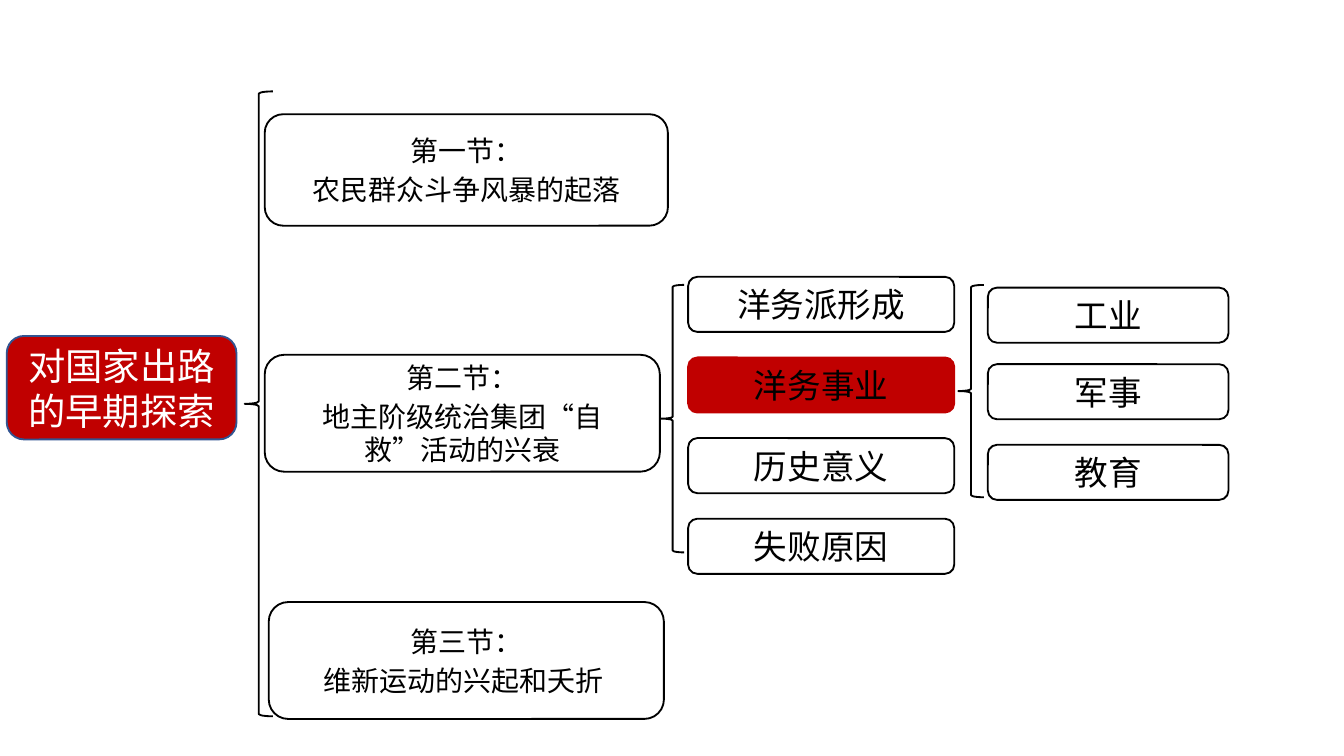
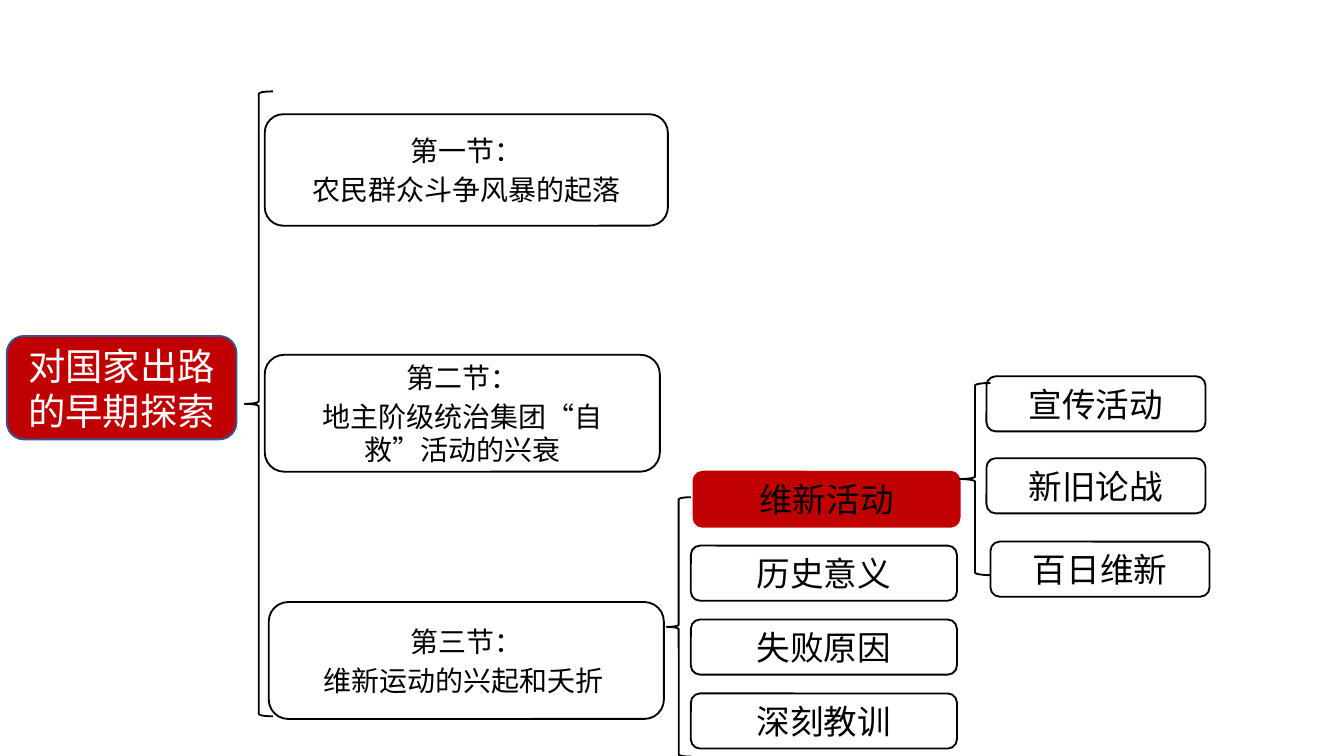
from pptx import Presentation
from pptx.dml.color import RGBColor
from pptx.enum.shapes import MSO_SHAPE
from pptx.enum.text import MSO_ANCHOR, PP_ALIGN
from pptx.oxml.ns import qn
from pptx.util import Inches, Pt

ROUNDED = MSO_SHAPE.ROUNDED_RECTANGLE
BRACE = MSO_SHAPE.LEFT_BRACE
MIDDLE = MSO_ANCHOR.MIDDLE
CENTER = PP_ALIGN.CENTER

FONT = "Noto Sans CJK SC"
COLORS = {"red": "C00000", "blue": "325491", "black": "000000", "white": "FFFFFF"}
TOPIC_HEIGHT = 0.41
TOPIC_WIDTH = 1.98

ROOT = "对国家出路的早期探索"
SECTIONS = [
    ((1.97, 0.85, 3, 0.83), ["第一节：", "农民群众斗争风暴的起落"]),
    ((1.97, 2.64, 2.94, 0.87), ["第二节：", "地主阶级统治集团“自救”活动的兴衰"]),
    ((2, 4.48, 2.94, 0.87), ["第三节：", "维新运动的兴起和夭折 "]),
]


def color(name):
    """Return the named palette colour."""
    return RGBColor.from_string(COLORS[name])


def add_outline(page, kind, place, line="black"):
    """Add an unfilled preset shape with a thin line."""
    shape = page.shapes.add_shape(kind, *map(Inches, place))
    shape.shadow.inherit = False
    shape.fill.background()
    shape.line.color.rgb = color(line)
    shape.line.width = Pt(1)
    return shape


def add_text(box, lines, size, ink):
    """Write centred paragraphs into a box."""
    frame = box.text_frame
    frame.word_wrap = True
    frame.vertical_anchor = MIDDLE
    for index, line in enumerate(lines):
        para = frame.add_paragraph() if index else frame.paragraphs[0]
        para.alignment = CENTER
        para.space_before = Pt(3 if index else 0)
        span = para.add_run()
        span.text = line
        span.font.size = Pt(size)
        span.font.color.rgb = color(ink)
        span.font.name = FONT
        east_asian = span.font._element.makeelement(qn("a:ea"), {"typeface": FONT})
        span.font._element.find(qn("a:latin")).addnext(east_asian)


def add_node(page, place, lines, size, fill=None, line="black", ink="black", inset=0.1):
    """Add a rounded box with text."""
    box = add_outline(page, ROUNDED, place, line)
    if fill:
        box.fill.solid()
        box.fill.fore_color.rgb = color(fill)
    box.text_frame.margin_left = box.text_frame.margin_right = Inches(inset)
    add_text(box, lines, size, ink)


def add_topics(page, topics, width, active=None):
    """Add a column of one-line topics, with the active one in red."""
    for left, top, label in topics:
        place = (left, top, width, TOPIC_HEIGHT)
        if label == active:
            add_node(page, place, [label], 18, fill="red", line="red")
        else:
            add_node(page, place, [label], 18)


def add_map(deck, filled_sections):
    """Add a page with the root and its three sections."""
    page = deck.slides.add_slide(deck.slide_layouts[6])
    add_node(page, (0.05, 2.5, 1.71, 0.77), [ROOT], 20, "red", "blue", "white")
    add_outline(page, BRACE, (1.82, 0.68, 0.21, 4.65))
    for number, (place, lines) in enumerate(SECTIONS, start=1):
        fill = "white" if number in filled_sections else None
        add_node(page, place, lines, 15, fill=fill, inset=0.2)
    return page


def add_westernization(deck):
    """Add the page that expands the second section."""
    page = add_map(deck, filled_sections=(1, 3))
    labels = ["洋务派形成", "洋务事业", "历史意义", "失败原因"]
    topics = [(5.12, 2.06 + 0.6 * row, label) for row, label in enumerate(labels)]
    add_topics(page, topics, TOPIC_WIDTH, active="洋务事业")
    add_outline(page, BRACE, (4.92, 2.12, 0.17, 1.99))
    add_outline(page, BRACE, (7.13, 2.12, 0.19, 1.58))
    add_topics(page, [(7.35, 2.14, "工业"), (7.35, 2.71, "军事"), (7.35, 3.31, "教育")], 1.79)


def add_reform(deck):
    """Add the page that expands the third section."""
    page = add_map(deck, filled_sections=(1,))
    labels = ["历史意义", "失败原因", "深刻教训"]
    topics = [(5.14, 4.06 + 0.55 * row, label) for row, label in enumerate(labels)]
    add_topics(page, [(5.16, 3.51, "维新活动")] + topics, TOPIC_WIDTH, active="维新活动")
    add_outline(page, BRACE, (4.96, 3.7, 0.18, 1.93))
    add_outline(page, BRACE, (7.14, 2.85, 0.23, 1.43))
    add_topics(page, [(7.34, 2.8, "宣传活动"), (7.34, 3.41, "新旧论战"), (7.37, 4.03, "百日维新")], 1.63)


def main():
    """Build and save the deck."""
    deck = Presentation()
    deck.slide_width = Inches(10)
    deck.slide_height = Inches(10) * 9 // 16
    add_westernization(deck)
    add_reform(deck)
    deck.save("out.pptx")


if __name__ == "__main__":
    main()
